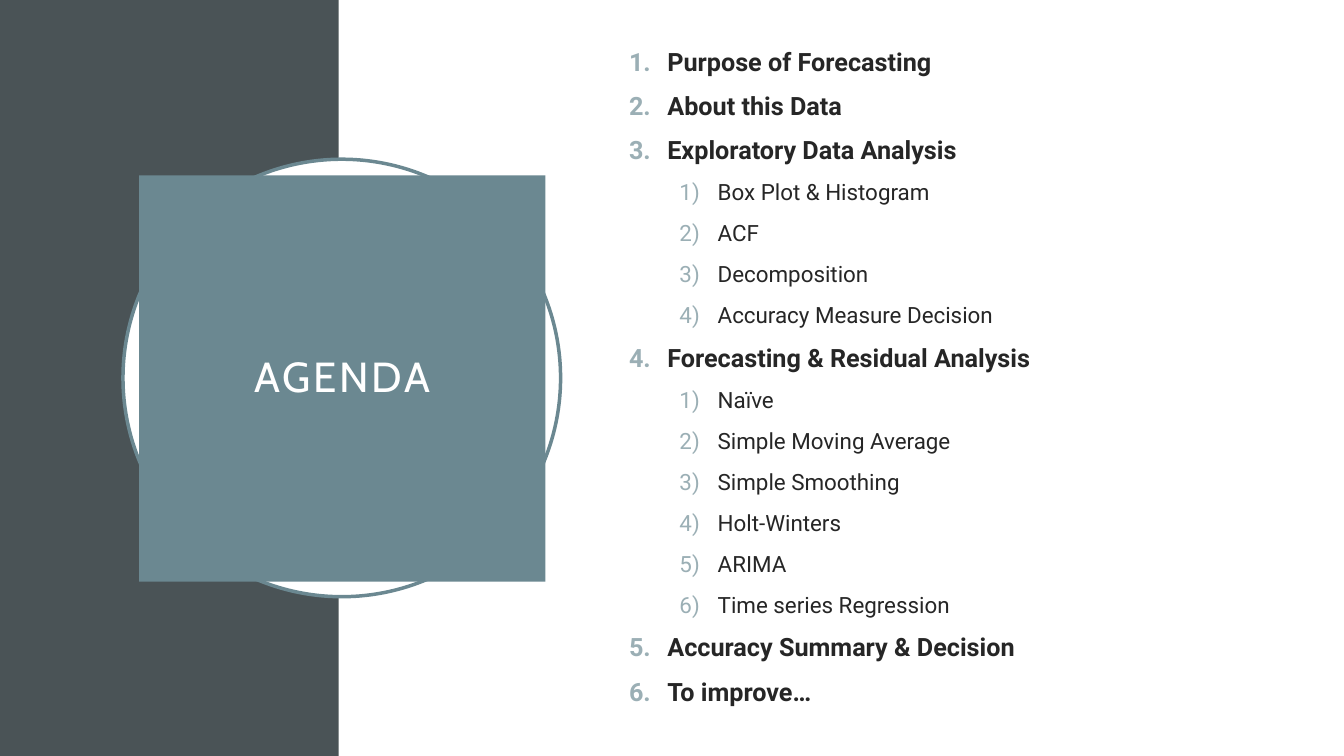
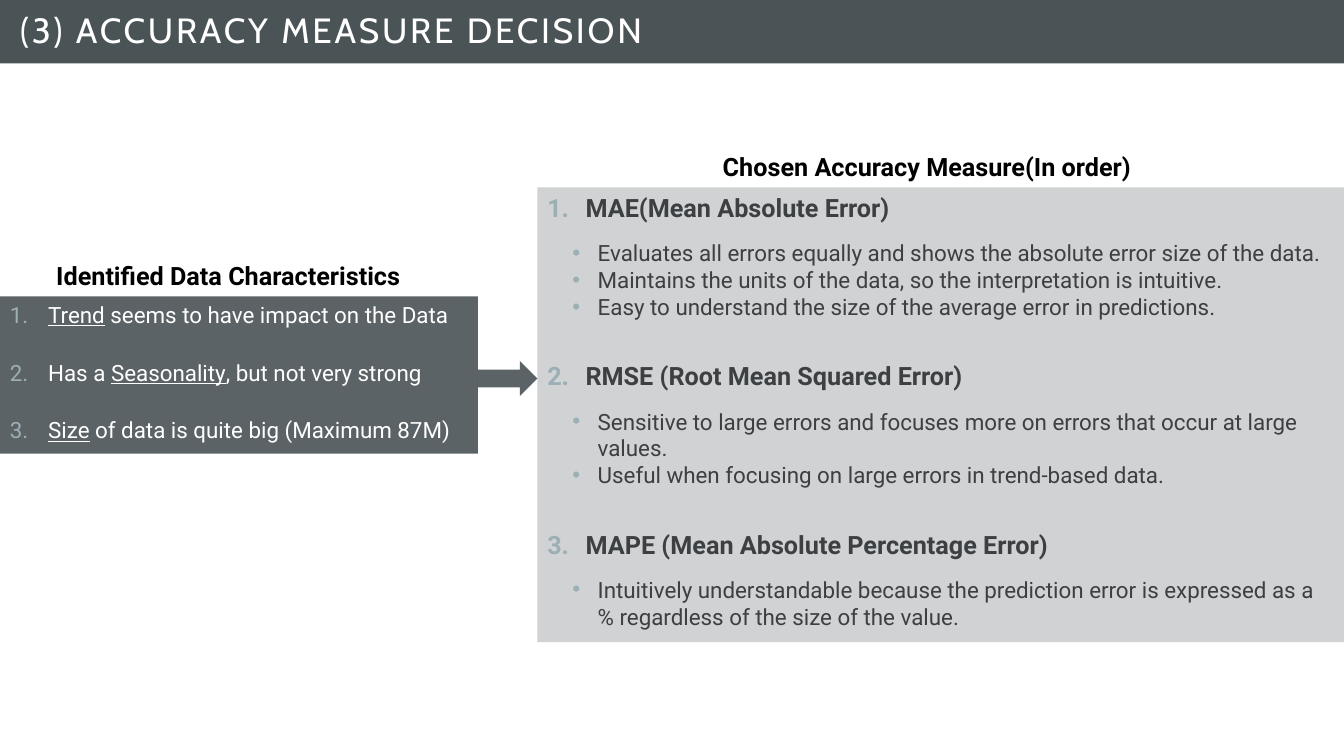
from dataclasses import dataclass

from lxml import etree
from pptx import Presentation
from pptx.dml.color import RGBColor as RGB
from pptx.enum.shapes import MSO_SHAPE as Shape
from pptx.enum.text import MSO_ANCHOR as Anchor, PP_ALIGN as Align
from pptx.oxml.ns import qn
from pptx.util import Inches, Pt


@dataclass(frozen=True)
class Theme:
    dark: str = "4A5356"
    teal: str = "6B8891"
    mark: str = "9BAFB5"
    ink: str = "262626"
    gray: str = "3C4043"
    white: str = "FFFFFF"
    black: str = "000000"
    title: str = "Cabin"
    body: str = "Roboto"
    head: int = 18
    text: int = 16


@dataclass(frozen=True)
class Style:
    """Look of one list level: marker, level, indents and spacing."""
    mark: str
    level: int = 0
    left: float = 0.38
    hang: float = 0.38
    before: int = 10
    after: int = 0
    size: int = Theme.text
    bold: bool = False


T = Theme()
WIDE, HIGH = 13.33, 7.5

TOPIC = Style("arabicPeriod", size=T.head, bold=True)
STEP = Style("arabicParenR", level=2, left=0.88)
TRAIT = Style("arabicPeriod", after=12)
METRIC = Style("arabicPeriod", after=12, size=T.head, bold=True)
NEXT = Style("arabicPeriod", before=29, after=12, size=T.head, bold=True)
POINT = Style("•", level=1, left=0.5, hang=0.25, before=0)

AGENDA = [
    ("Purpose of Forecasting", []),
    ("About this Data", []),
    ("Exploratory Data Analysis", [
        "Box Plot & Histogram", "ACF", "Decomposition",
        "Accuracy Measure Decision"]),
    ("Forecasting & Residual Analysis", [
        "Naïve", "Simple Moving Average", "Simple Smoothing",
        "Holt-Winters", "ARIMA", "Time series Regression"]),
    ("Accuracy Summary & Decision", []),
    ("To improve…", []),
]

# Underscores enclose underlined words
TRAITS = [
    "_Trend_ seems to have impact on the Data",
    "Has a _Seasonality_, but not very strong",
    "_Size_ of data is quite big (Maximum 87M)",
]

METRICS = [
    ("MAE(Mean Absolute Error)", [
        "Evaluates all errors equally and shows the absolute error size "
        "of the data.",
        "Maintains the units of the data, so the interpretation is intuitive.",
        "Easy to understand the size of the average error in predictions."]),
    ("RMSE (Root Mean Squared Error)", [
        "Sensitive to large errors and focuses more on errors that occur "
        "at large values.",
        "Useful when focusing on large errors in trend-based data."]),
    ("MAPE (Mean Absolute Percentage Error)", [
        "Intuitively understandable because the prediction error is "
        "expressed as a % regardless of the size of the value."]),
]


# Basic parts
def add_shape(slide, kind, box, fill, alpha=None, line=None):
    shape = slide.shapes.add_shape(kind, *map(Inches, box))
    shape.shadow.inherit = False
    shape.fill.solid()
    shape.fill.fore_color.rgb = RGB.from_string(fill)
    if alpha is not None:
        color = shape.fill._xPr.find(".//" + qn("a:srgbClr"))
        etree.SubElement(color, qn("a:alpha"), val=str(alpha * 1000))
    if line:
        shape.line.color.rgb = RGB.from_string(line)
        shape.line.width = Pt(2.5)
    else:
        shape.line.fill.background()
    return shape


def set_font(par, name, size, color, bold=False):
    font = par.font
    font.name, font.size, font.bold = name, Pt(size), bold
    font.color.rgb = RGB.from_string(color)


def add_title(slide, box, fill, text, size, align):
    frame = add_shape(slide, Shape.RECTANGLE, box, fill).text_frame
    frame.word_wrap = True
    frame.vertical_anchor = Anchor.MIDDLE
    frame.margin_left = frame.margin_right = Inches(0.2)
    frame.margin_top = frame.margin_bottom = Inches(0.2)
    par = frame.paragraphs[0]
    par.alignment, par.line_spacing = align, 0.9
    set_font(par, T.title, size, T.white)
    run = par.add_run()
    run.text = text
    run.font._element.set("spc", "200")


def add_label(slide, box, text):
    frame = slide.shapes.add_textbox(*map(Inches, box)).text_frame
    frame.word_wrap = False
    par = frame.paragraphs[0]
    par.text = text
    set_font(par, T.body, T.head, T.black, True)


# Lists
def set_mark(par, style):
    props = par._p.get_or_add_pPr()
    props.set("marL", str(Inches(style.left)))
    props.set("indent", str(-Inches(style.hang)))
    color = etree.Element(qn("a:buClr"))
    etree.SubElement(color, qn("a:srgbClr"), val=T.mark)
    if style.mark == "•":
        parts = [color, etree.Element(qn("a:buFont"), typeface="Arial"),
                 etree.Element(qn("a:buChar"), char=style.mark)]
    else:
        parts = [color, etree.Element(qn("a:buFont"), typeface="+mj-lt"),
                 etree.Element(qn("a:buAutoNum"), type=style.mark)]
    # Marker elements come before the default font
    font = props.find(qn("a:defRPr"))
    for part in parts:
        font.addprevious(part)


def fill_list(frame, items, color, anchor=Anchor.TOP):
    frame.word_wrap = True
    frame.vertical_anchor = anchor
    for i, (text, style) in enumerate(items):
        par = frame.add_paragraph() if i else frame.paragraphs[0]
        par.alignment, par.level = Align.LEFT, style.level
        par.space_before = Pt(style.before)
        par.space_after = Pt(style.after)
        set_font(par, T.body, style.size, color, style.bold)
        set_mark(par, style)
        for j, piece in enumerate(text.split("_")):
            if piece:
                run = par.add_run()
                run.text = piece
                if j % 2:
                    run.font.underline = True


def flatten(groups, first, later, sub):
    items = []
    for i, (head, subs) in enumerate(groups):
        items.append((head, later if i else first))
        items += [(text, sub) for text in subs]
    return items


# Slides
def add_agenda(slide):
    side = 3.36
    add_shape(slide, Shape.RECTANGLE, (0, 0, side, HIGH), T.dark)
    add_shape(slide, Shape.OVAL, (1.22, 1.58, 4.34, 4.34), T.white,
              line=T.teal)
    add_title(slide, (1.38, 1.74, 4.03, 4.03), T.teal, "AGENDA", 30,
              Align.CENTER)
    box = slide.shapes.add_textbox(*map(Inches, (6.14, 0.03, 4.79, 7.4)))
    fill_list(box.text_frame, flatten(AGENDA, TOPIC, TOPIC, STEP), T.ink,
              Anchor.MIDDLE)


def add_measure(slide):
    add_title(slide, (0, 0, WIDE, 0.63), T.dark,
              "(3) ACCURACY MEASURE DECISION", 25, Align.LEFT)
    left, right = 4.74, 5.33
    traits = add_shape(slide, Shape.RECTANGLE, (0, 2.94, left, 1.56),
                       T.dark, 90)
    fill_list(traits.text_frame, [(text, TRAIT) for text in TRAITS], T.white)
    add_shape(slide, Shape.RIGHT_ARROW, (left, 3.58, right - left, 0.35),
              T.dark, 90)
    panel = add_shape(slide, Shape.RECTANGLE,
                      (right, 1.86, WIDE - right, 4.51), T.dark, 26)
    fill_list(panel.text_frame, flatten(METRICS, METRIC, NEXT, POINT), T.gray)
    add_label(slide, (0.46, 2.53, 3.83, 0.4),
              "Identified Data Characteristics")
    add_label(slide, (7.07, 1.45, 4.53, 0.4),
              "Chosen Accuracy Measure(In order)")


def main():
    deck = Presentation()
    deck.slide_width, deck.slide_height = Inches(WIDE), Inches(HIGH)
    blank = deck.slide_layouts[6]
    for build in (add_agenda, add_measure):
        build(deck.slides.add_slide(blank))
    deck.save("out.pptx")


if __name__ == "__main__":
    main()
